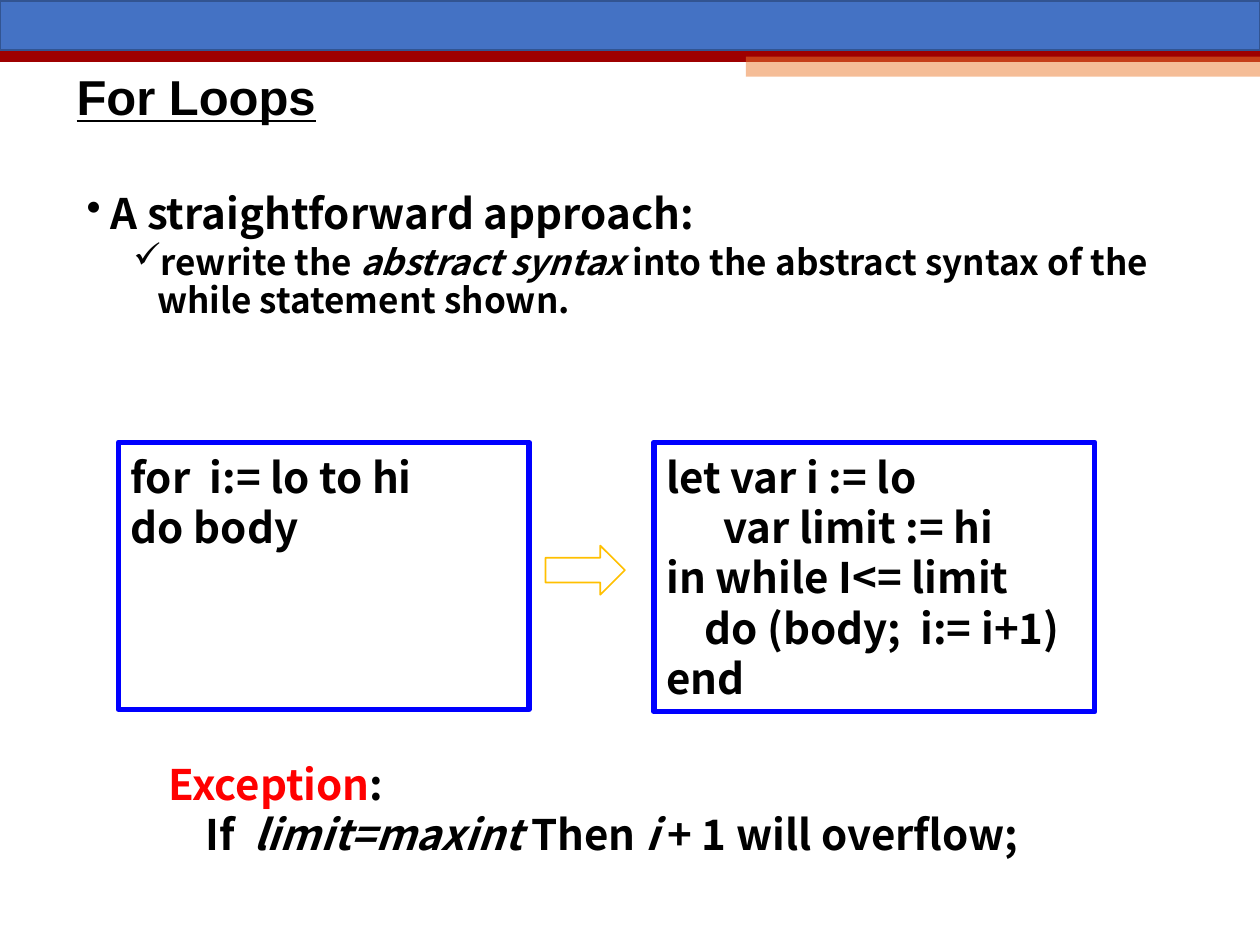
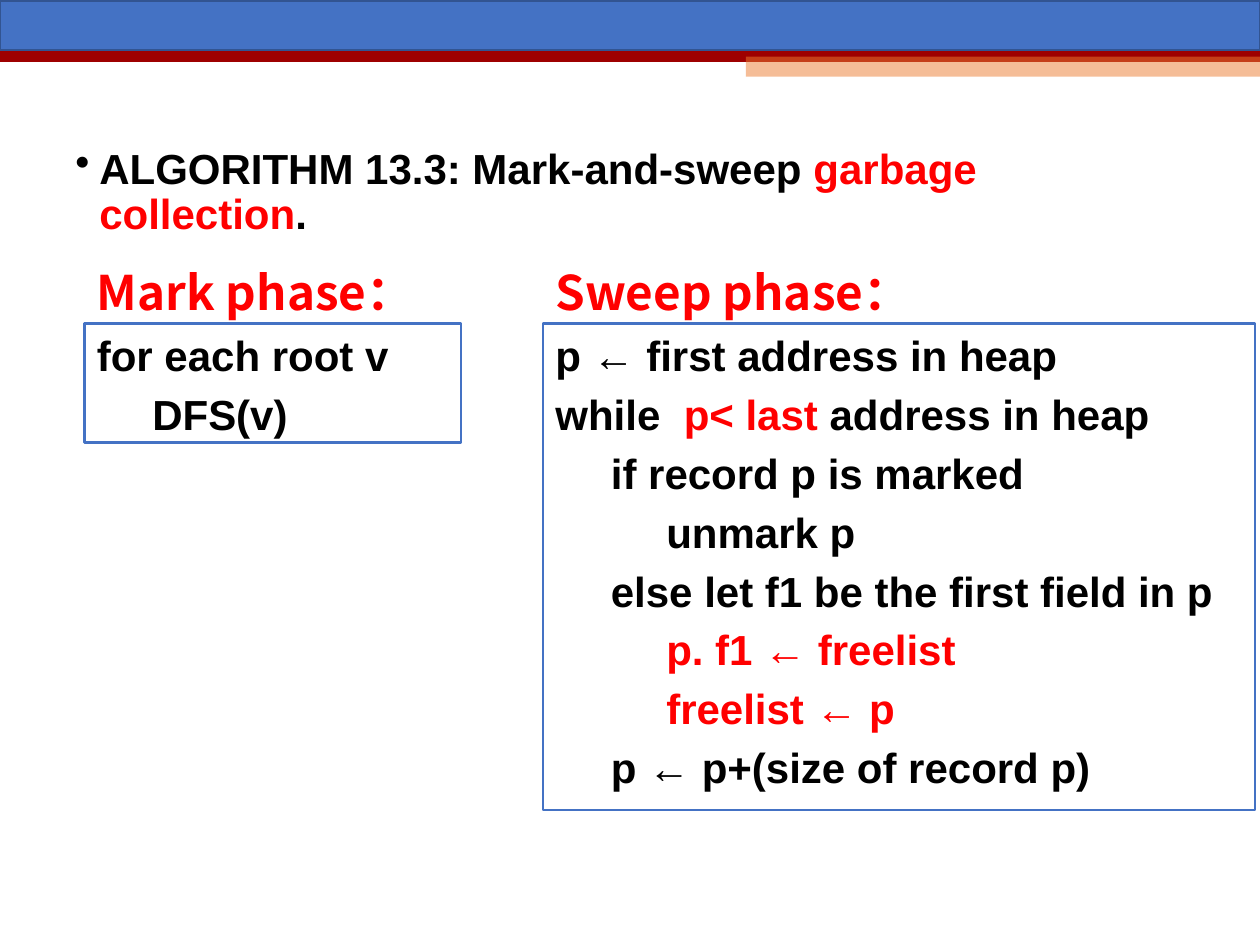
from lxml import etree
from pptx import Presentation
from pptx.dml.color import RGBColor
from pptx.enum.shapes import MSO_CONNECTOR, MSO_SHAPE
from pptx.enum.text import MSO_ANCHOR
from pptx.oxml.ns import qn
from pptx.util import Inches, Pt

RECTANGLE, ARROW = MSO_SHAPE.RECTANGLE, MSO_SHAPE.RIGHT_ARROW
STRAIGHT = MSO_CONNECTOR.STRAIGHT
TOP, MIDDLE = MSO_ANCHOR.TOP, MSO_ANCHOR.MIDDLE

SANS, CJK = "Arial", "Noto Sans CJK SC"
TOP_INSET = {SANS: 0.05, CJK: 0.07}
BLACK, RED, WHITE = "000000", "FF0000", "FFFFFF"
BLUE, DARK_BLUE, PURE_BLUE = "4472C4", "325491", "0000FF"
CRIMSON, ORANGE, GOLD = "9E0000", "ED7D31", "FFC000"
LINE_HEIGHT = 1.2
HANGING = 0.19
CODE_INDENT = 0.44

ITALIC = {"italic": True}
IN_RED = {"color": RED}

TITLE = {"size": 28, "font": SANS, "tight": 0.9, "anchor": MIDDLE, "underline": True}
CJK_BODY = {"size": 24, "font": CJK, "tight": 0.9}
SANS_BODY = {"size": 24, "font": SANS, "tight": 0.9}
CJK_CODE = {"size": 24, "font": CJK}
SANS_CODE = {"size": 24, "font": SANS, "before": 4.8}
PHASE = {"size": 27.2, "font": CJK, "color": RED}

APPROACH = [
    {"runs": ["A straightforward approach:"], "bullet": "•", "left": HANGING},
    {"runs": ["rewrite the ", ("abstract syntax", ITALIC),
              " into the abstract syntax of the while statement shown."],
     "bullet": "✓", "left": 0.56, "size": 20, "before": 3.8},
]
FOR_CODE = ["for  i:= lo to hi", "do body"]
WHILE_CODE = ["let var i := lo", "      var limit := hi", "in while I<= limit",
              "    do (body;  i:= i+1)", "end"]
EXCEPTION = [
    {"runs": [("Exception", IN_RED), ":"]},
    {"runs": ["If ", (" limit=maxint", ITALIC), " Then ", ("i", ITALIC),
              " + 1 will overflow;"], "left": 0.29},
]
ALGORITHM = [
    {"runs": ["ALGORITHM 13.3: Mark-and-sweep ", ("garbage collection", IN_RED), "."],
     "bullet": "•", "left": HANGING},
]
PHASES = [
    ("Mark phase：", 0.67, 2.99, 0.94, [
        (0, ["for each root v"]),
        (1, ["DFS(v)"]),
    ]),
    ("Sweep phase：", 4.31, 5.65, 3.86, [
        (0, ["p ← first address in heap"]),
        (0, ["while ", (" p< last ", IN_RED), "address in heap"]),
        (1, ["if record p is marked"]),
        (2, ["unmark p"]),
        (1, ["else let f1 be the first field in p"]),
        (2, [("p. f1 ← freelist", IN_RED)]),
        (2, [("freelist ← p", IN_RED)]),
        (1, ["p ← p+(size of record p)"]),
    ]),
]


def rgb(color):
    return RGBColor.from_string(color)


def add_run(paragraph, text, style):
    run = paragraph.add_run()
    run.text = text
    values = {"name": style["font"], "size": Pt(style["size"]), "bold": True,
              "italic": style.get("italic"), "underline": style.get("underline")}
    for name, value in values.items():
        setattr(run.font, name, value)
    run.font.color.rgb = rgb(style.get("color", BLACK))
    east_asian = etree.SubElement(run.font._element, qn("a:ea"))
    east_asian.set("typeface", style["font"])


def write(shape, paragraphs, style):
    frame = shape.text_frame
    values = {"word_wrap": True, "vertical_anchor": style.get("anchor", TOP),
              "margin_top": Inches(TOP_INSET[style["font"]])}
    for name, value in values.items():
        setattr(frame, name, value)
    for index, item in enumerate(paragraphs):
        item = {"runs": [item]} if isinstance(item, str) else item
        look = {**style, **item}
        paragraph = frame.add_paragraph() if index else frame.paragraphs[0]
        paragraph.line_spacing = Pt(look["size"] * LINE_HEIGHT * look.get("tight", 1))
        paragraph.space_before = Pt(look.get("before", 0) if index else 0)
        properties = paragraph._p.get_or_add_pPr()
        properties.set("marL", str(Inches(look.get("left", 0))))
        properties.set("algn", "l")
        if "bullet" in look:
            properties.set("indent", str(-Inches(HANGING)))
            bullet = etree.SubElement(properties, qn("a:buChar"))
            bullet.set("char", look["bullet"])
        for run in look["runs"]:
            text, changes = (run, {}) if isinstance(run, str) else run
            add_run(paragraph, text, {**look, **changes})


def add_text(slide, box, paragraphs, style):
    shape = slide.shapes.add_textbox(*map(Inches, box))
    write(shape, paragraphs, style)


def add_block(slide, box, fill=None, line=None, width=1, kind=RECTANGLE):
    shape = slide.shapes.add_shape(kind, *map(Inches, box))
    shape.shadow.inherit = False
    if fill:
        shape.fill.solid()
        shape.fill.fore_color.rgb = rgb(fill)
    else:
        shape.fill.background()
    if line:
        shape.line.color.rgb = rgb(line)
        shape.line.width = Pt(width)
    else:
        shape.line.fill.background()
    return shape


def add_slide(presentation):
    slide = presentation.slides.add_slide(presentation.slide_layouts[6])
    rule = slide.shapes.add_connector(
        STRAIGHT, *map(Inches, (0, 0.44, 10, 0.44)))
    rule.line.color.rgb = rgb(CRIMSON)
    rule.line.width = Pt(7.5)
    etree.SubElement(rule._element.spPr, qn("a:effectLst"))
    accent = add_block(slide, (5.92, 0.45, 4.08, 0.16), ORANGE)
    color = accent._element.spPr.find(".//" + qn("a:srgbClr"))
    etree.SubElement(color, qn("a:alpha")).set("val", "50000")
    add_block(slide, (0, 0.01, 10, 0.39), BLUE, DARK_BLUE)
    return slide


def build_for_loops(presentation):
    slide = add_slide(presentation)
    add_text(slide, (0.51, 0.39, 9, 0.79), ["For Loops"], TITLE)
    add_text(slide, (0.59, 1.46, 9, 1.31), APPROACH, CJK_BODY)
    add_text(slide, (1.24, 5.95, 7.31, 0.91), EXCEPTION, CJK_CODE)
    for box, code in (((0.94, 3.51, 3.26, 2.12), FOR_CODE),
                      ((5.19, 3.51, 3.5, 2.14), WHILE_CODE)):
        write(add_block(slide, box, line=PURE_BLUE, width=3), code, CJK_CODE)
    add_block(slide, (4.33, 4.33, 0.63, 0.39), WHITE, GOLD, kind=ARROW)


def build_mark_and_sweep(presentation):
    slide = add_slide(presentation)
    add_text(slide, (0.5, 1.12, 9, 0.66), ALGORITHM, SANS_BODY)
    for heading, left, width, height, code in PHASES:
        add_text(slide, (left, 2.02, 3.62, 0.47), [heading], PHASE)
        block = add_block(slide, (left, 2.57, width, height), line=BLUE, width=1.5)
        lines = [{"runs": runs, "left": level * CODE_INDENT} for level, runs in code]
        write(block, lines, SANS_CODE)


def main():
    presentation = Presentation()
    presentation.slide_width = Inches(10)
    presentation.slide_height = Inches(7.5)
    build_for_loops(presentation)
    build_mark_and_sweep(presentation)
    presentation.save("out.pptx")


if __name__ == "__main__":
    main()
